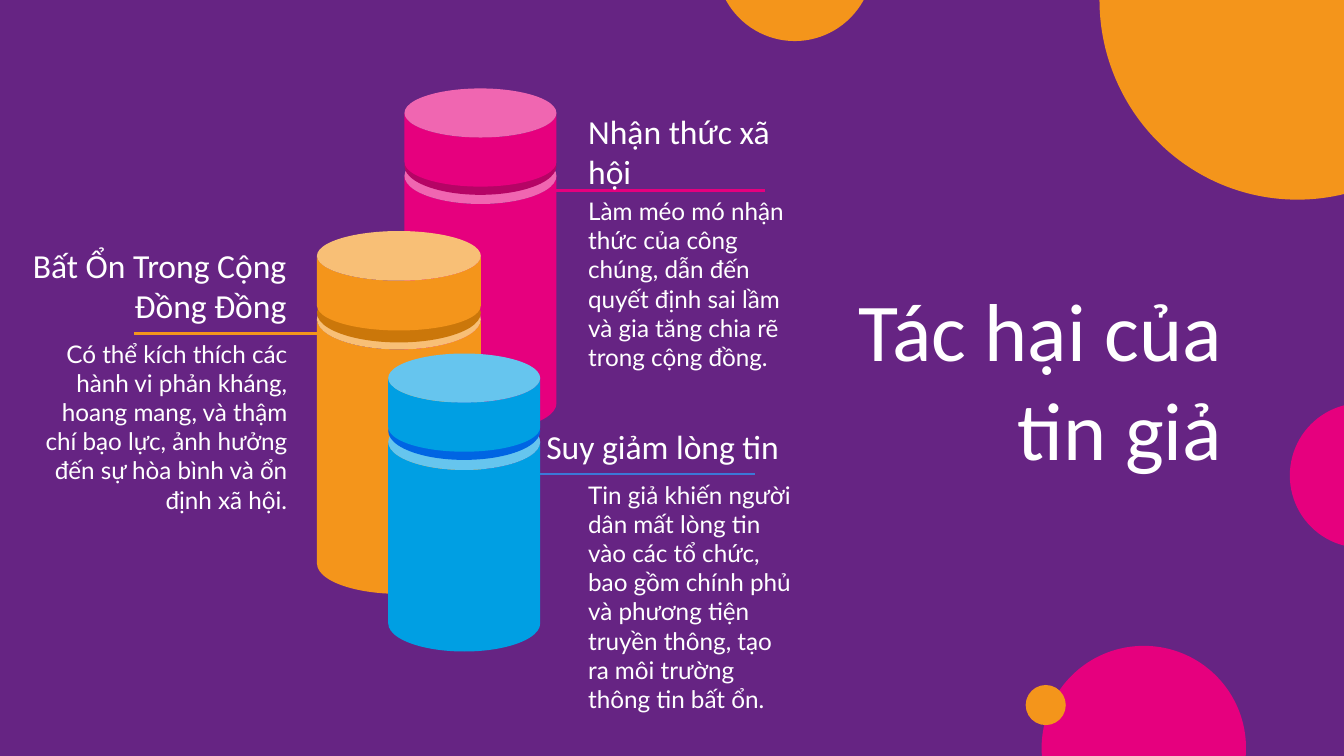
from lxml import etree
from pptx import Presentation
from pptx.dml.color import RGBColor
from pptx.enum import shapes, text
from pptx.oxml.ns import qn
from pptx.util import Pt

PURPLE = RGBColor(0x66, 0x24, 0x83)
ORANGE = RGBColor(0xF4, 0x95, 0x1B)
DARK_ORANGE = RGBColor(0xCB, 0x77, 0x0A)
PINK = RGBColor(0xE6, 0x00, 0x7E)
DARK_PINK = RGBColor(0xB5, 0x04, 0x65)
BLUE = RGBColor(0x00, 0x9F, 0xE3)
DARK_BLUE = RGBColor(0x00, 0x65, 0xE3)
LINE_BLUE = RGBColor(0x3C, 0x78, 0xD8)
WHITE = RGBColor(0xFF, 0xFF, 0xFF)
CAN = shapes.MSO_SHAPE.CAN
OVAL = shapes.MSO_SHAPE.OVAL
LEFT, RIGHT = text.PP_ALIGN.LEFT, text.PP_ALIGN.RIGHT

deck = Presentation()
deck.slide_width, deck.slide_height = Pt(720), Pt(405)
page = deck.slides.add_slide(deck.slide_layouts[5])
page.background.fill.solid()
page.background.fill.fore_color.rgb = PURPLE


def write(box, words, size=13, font="Lato", align=LEFT, anchor=text.MSO_ANCHOR.TOP):
    frame = box.text_frame
    frame.word_wrap = True
    frame.auto_size = text.MSO_AUTO_SIZE.NONE
    frame.vertical_anchor = anchor
    frame.margin_left = frame.margin_right = Pt(7.2)
    frame.margin_top = frame.margin_bottom = Pt(7.2)
    para = frame.paragraphs[0]
    para.alignment = align
    span = para.add_run()
    span.text = words
    span.font.size = Pt(size)
    span.font.name = font
    span.font.color.rgb = WHITE


def add_solid(kind, left, top, width, height, color):
    shape = page.shapes.add_shape(kind, Pt(left), Pt(top), Pt(width), Pt(height))
    shape.shadow.inherit = False
    shape.fill.solid()
    shape.fill.fore_color.rgb = color
    shape.line.fill.background()
    return shape


# Background circles
for left, top, width, height, color in [
    (383.5, -63.5, 84.5, 85.5, ORANGE),
    (691, 216, 77, 77.5, PINK),
    (589, -107, 212, 214, ORANGE),
    (558, 346, 109.5, 109.5, PINK),
    (549.5, 367, 21.5, 21.5, ORANGE),
]:
    add_solid(OVAL, left, top, width, height, color)

# Title
title = page.shapes.title
title.left, title.top, title.width, title.height = Pt(426), Pt(134), Pt(236), Pt(137)
write(title, "Tác hại của tin giả", size=44, font="Calibri", align=RIGHT,
      anchor=text.MSO_ANCHOR.MIDDLE)

# Jars with their leader lines: the lines lie above the rear jars, below the front one
jars = [
    # left, width, body top and height, rim top and height, lid top and height
    (216.7, 81.4, 79.2, 152, 73.4, 31, 47.4, 52.6, PINK, DARK_PINK),
    (169.8, 87.8, 154.8, 163.4, 151.8, 31.7, 123.8, 53.3, ORANGE, DARK_ORANGE),
    (208, 81.4, 221.7, 127.4, 215.4, 31, 189.4, 52.6, BLUE, DARK_BLUE),
]
leaders = [
    (72, 169.8, 178.6, ORANGE),
    (279.4, 404.6, 254, LINE_BLUE),
    (294.5, 409.7, 102, PINK),
]
for jar in jars:
    (left, width, body_top, body_height, rim_top, rim_height,
     lid_top, lid_height, color, shade) = jar
    if jar is jars[-1]:
        for start, end, y, line_color in leaders:
            leader = page.shapes.add_connector(
                shapes.MSO_CONNECTOR.STRAIGHT, Pt(start), Pt(y), Pt(end), Pt(y))
            leader.line.color.rgb = line_color
            leader.line.width = Pt(1.5)
            etree.SubElement(leader._element.spPr, qn("a:effectLst"))
    body = add_solid(CAN, left, body_top, width, body_height, color)
    body.adjustments[0] = 0.37
    add_solid(OVAL, left, rim_top, width, rim_height, shade)
    lid = add_solid(CAN, left, lid_top, width, lid_height, color)
    lid.adjustments[0] = 0.5

# Headings and descriptions
heading = {"size": 18, "font": "Calibri"}
for left, top, width, height, words, style in [
    (308, 52, 115, 42, "Nhận thức xã hội", heading),
    (308, 98, 126, 64, "Làm méo mó nhận thức của công chúng, dẫn đến quyết định "
     "sai lầm và gia tăng chia rẽ trong cộng đồng.", {}),
    (0, 124, 160.6, 50, "Bất Ổn Trong Cộng Đồng Đồng", {**heading, "align": RIGHT}),
    (13.5, 174.4, 147.4, 101, "Có thể kích thích các hành vi phản kháng, hoang mang, "
     "và thậm chí bạo lực, ảnh hưởng đến sự hòa bình và ổn định xã hội.",
     {"align": RIGHT}),
    (285.6, 221, 145.4, 27.4, "Suy giảm lòng tin", heading),
    (308, 250, 126, 62, "Tin giả khiến người dân mất lòng tin vào các tổ chức, "
     "bao gồm chính phủ và phương tiện truyền thông, tạo ra môi trường thông tin "
     "bất ổn.", {}),
]:
    box = page.shapes.add_textbox(Pt(left), Pt(top), Pt(width), Pt(height))
    write(box, words, **style)

deck.save("out.pptx")
